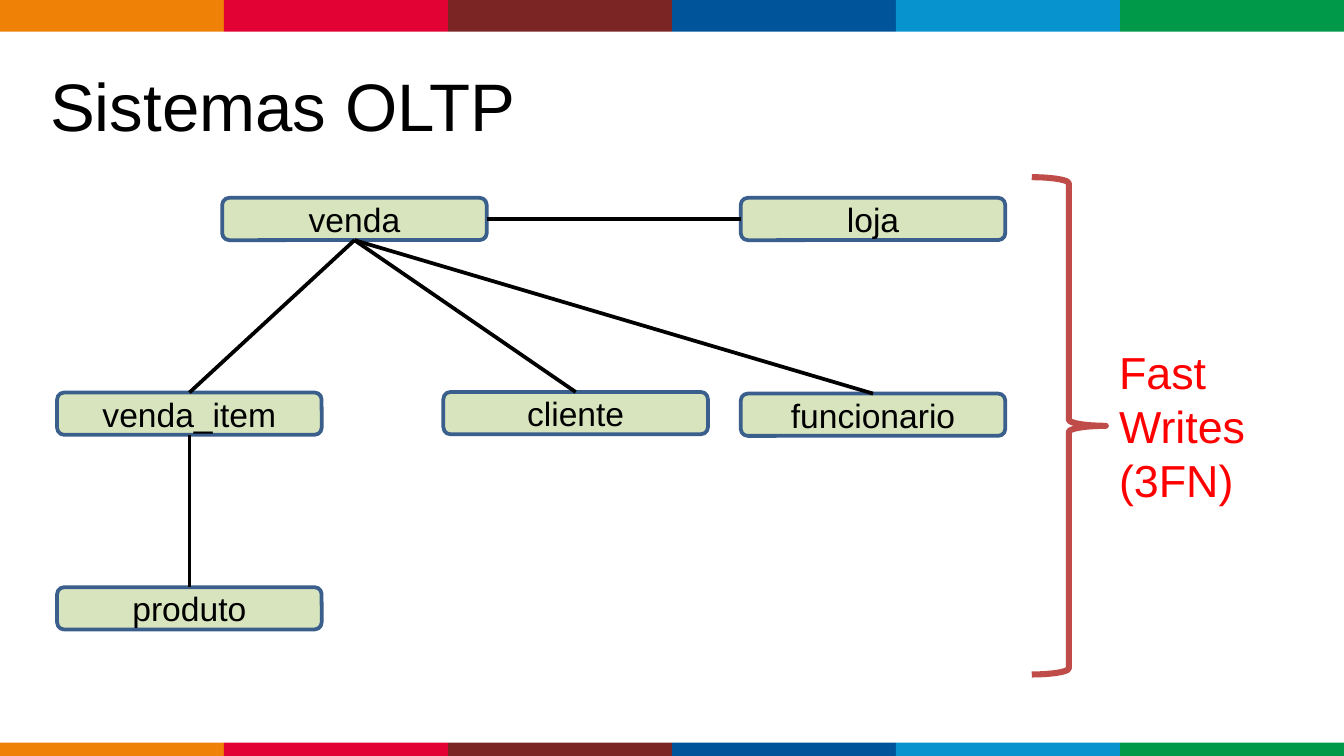
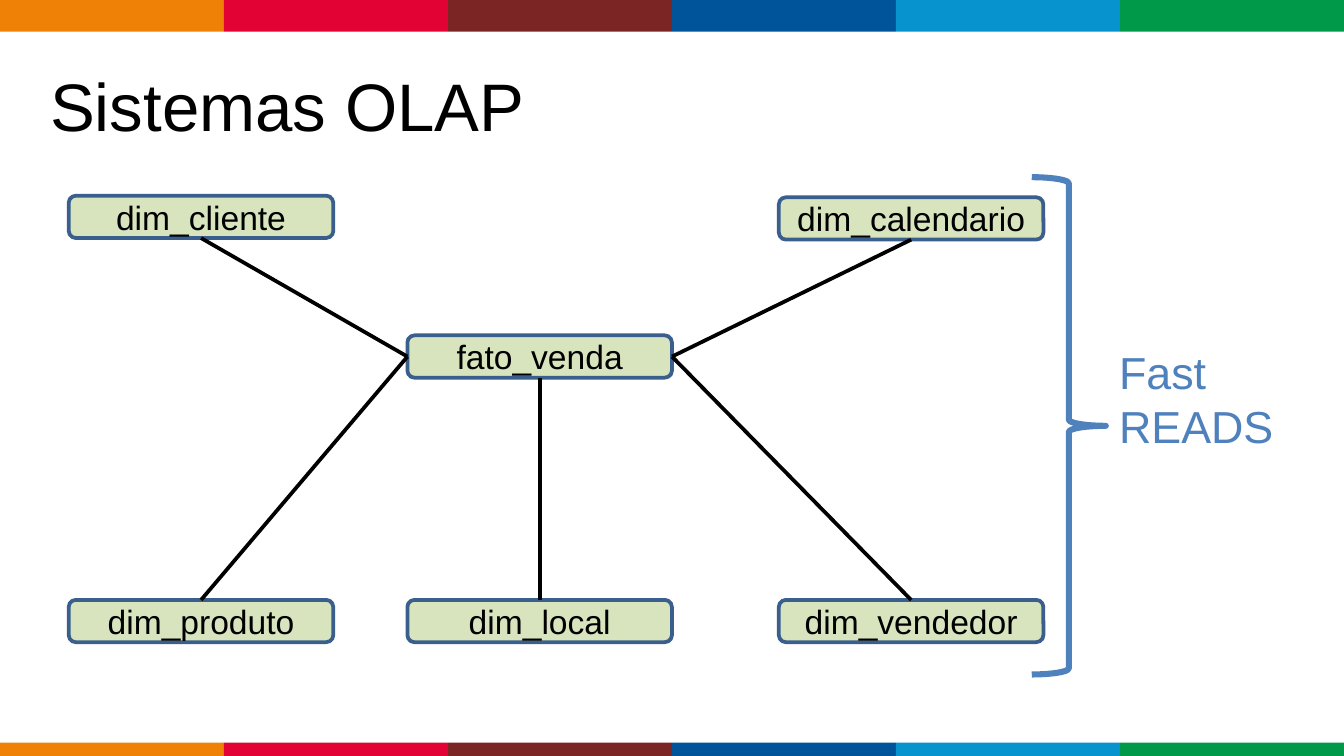
from lxml import etree
from pptx import Presentation
from pptx.dml.color import RGBColor
from pptx.enum.shapes import MSO_CONNECTOR as Conn, MSO_SHAPE as Kind
from pptx.enum.text import MSO_ANCHOR as Anchor, PP_ALIGN as Align
from pptx.oxml.ns import qn
from pptx.util import Cm, Pt

BLACK = RGBColor(0x00, 0x00, 0x00)
RED = RGBColor(0xFF, 0x00, 0x00)
BRICK = RGBColor(0xBF, 0x4C, 0x48)
BLUE = RGBColor(0x4F, 0x81, 0xBD)
GREEN = RGBColor(0xD7, 0xE4, 0xBD)
NAVY = RGBColor(0x3A, 0x5F, 0x8C)
BANDS = [
    RGBColor(0xEF, 0x82, 0x06), RGBColor(0xE2, 0x03, 0x34),
    RGBColor(0x7B, 0x25, 0x25), RGBColor(0x00, 0x54, 0x9A),
    RGBColor(0x07, 0x94, 0xCE), RGBColor(0x00, 0x99, 0x49),
]
WIDE, HIGH = 25.4, 14.29
STEP = WIDE / len(BANDS)

# Connection sites of a rounded box
TOP, LEFT, BOTTOM, RIGHT = range(4)

SLIDES = [
    {
        "title": "Sistemas OLTP",
        "note": "Fast Writes\n(3FN)",
        "ink": RED,
        "brace": BRICK,
        "boxes": {
            "venda": (4.2, 3.74),
            "venda_item": (1.08, 7.42),
            "cliente": (8.38, 7.41),
            "funcionario": (14, 7.44),
            "loja": (14, 3.74),
            "produto": (1.08, 11.1),
        },
        "links": [
            ("venda", RIGHT, "loja", LEFT),
            ("venda", BOTTOM, "cliente", TOP),
            ("venda", BOTTOM, "funcionario", TOP),
            ("venda", BOTTOM, "venda_item", TOP),
            ("venda_item", BOTTOM, "produto", TOP),
        ],
    },
    {
        "title": "Sistemas OLAP",
        "note": "Fast READS",
        "ink": BLUE,
        "brace": BLUE,
        "boxes": {
            "fato_venda": (7.7, 6.34),
            "dim_cliente": (1.3, 3.7),
            "dim_vendedor": (14.72, 11.34),
            "dim_local": (7.7, 11.34),
            "dim_produto": (1.3, 11.34),
            "dim_calendario": (14.72, 3.73),
        },
        "links": [
            ("fato_venda", BOTTOM, "dim_local", TOP),
            ("fato_venda", LEFT, "dim_cliente", BOTTOM),
            ("fato_venda", RIGHT, "dim_vendedor", TOP),
            ("fato_venda", LEFT, "dim_produto", TOP),
            ("fato_venda", RIGHT, "dim_calendario", BOTTOM),
        ],
    },
]


def draw(slide, kind, x, y, w, h, fill=None, line=None, weight=2):
    """Add a flat preset shape, in centimetres; no colour means no paint."""
    shape = slide.shapes.add_shape(kind, Cm(x), Cm(y), Cm(w), Cm(h))
    shape.shadow.inherit = False
    if fill is None:
        shape.fill.background()
    else:
        shape.fill.solid()
        shape.fill.fore_color.rgb = fill
    if line is None:
        shape.line.fill.background()
    else:
        shape.line.color.rgb = line
        shape.line.width = Pt(weight)
    return shape


def write(shape, text, size, color, align=Align.LEFT, anchor=Anchor.MIDDLE):
    frame = shape.text_frame
    frame.text = text
    frame.word_wrap = True
    frame.vertical_anchor = anchor
    for para in frame.paragraphs:
        para.alignment = align
        for run in para.runs:
            run.font.name = "Arial"
            run.font.size = Pt(size)
            run.font.color.rgb = color
    return frame


deck = Presentation()
deck.slide_width, deck.slide_height = Cm(WIDE), Cm(HIGH)

for page in SLIDES:
    slide = deck.slides.add_slide(deck.slide_layouts[6])

    for y, h in (0, 0.6), (14.04, 0.25):
        for i, color in enumerate(BANDS):
            draw(slide, Kind.RECTANGLE, i * STEP, y, STEP, h, color)

    title = slide.shapes.add_textbox(Cm(0.7), Cm(1.02), Cm(15.8), Cm(1.93))
    write(title, page["title"], 36, BLACK)

    boxes = {}
    for name, (x, y) in page["boxes"].items():
        boxes[name] = draw(slide, Kind.ROUNDED_RECTANGLE, x, y, 5, 0.8, GREEN, NAVY)
        write(boxes[name], name, 18, BLACK, Align.CENTER)

    for start, out, end, into in page["links"]:
        link = slide.shapes.add_connector(Conn.STRAIGHT, 0, 0, 0, 0)
        link.begin_connect(boxes[start], out)
        link.end_connect(boxes[end], into)
        link.line.color.rgb = BLACK
        link.line.width = Pt(2)
        etree.SubElement(link._element.spPr, qn("a:effectLst"))

    draw(slide, Kind.RIGHT_BRACE, 19.5, 3.35, 1.4, 9.4, None, page["brace"], 3.25)
    note = slide.shapes.add_textbox(Cm(20.9), Cm(6.4), Cm(4.2), Cm(3.33))
    frame = write(note, page["note"], 24, page["ink"], anchor=Anchor.TOP)
    for para in frame.paragraphs:
        para.line_spacing = Pt(28.8)

deck.save("out.pptx")
